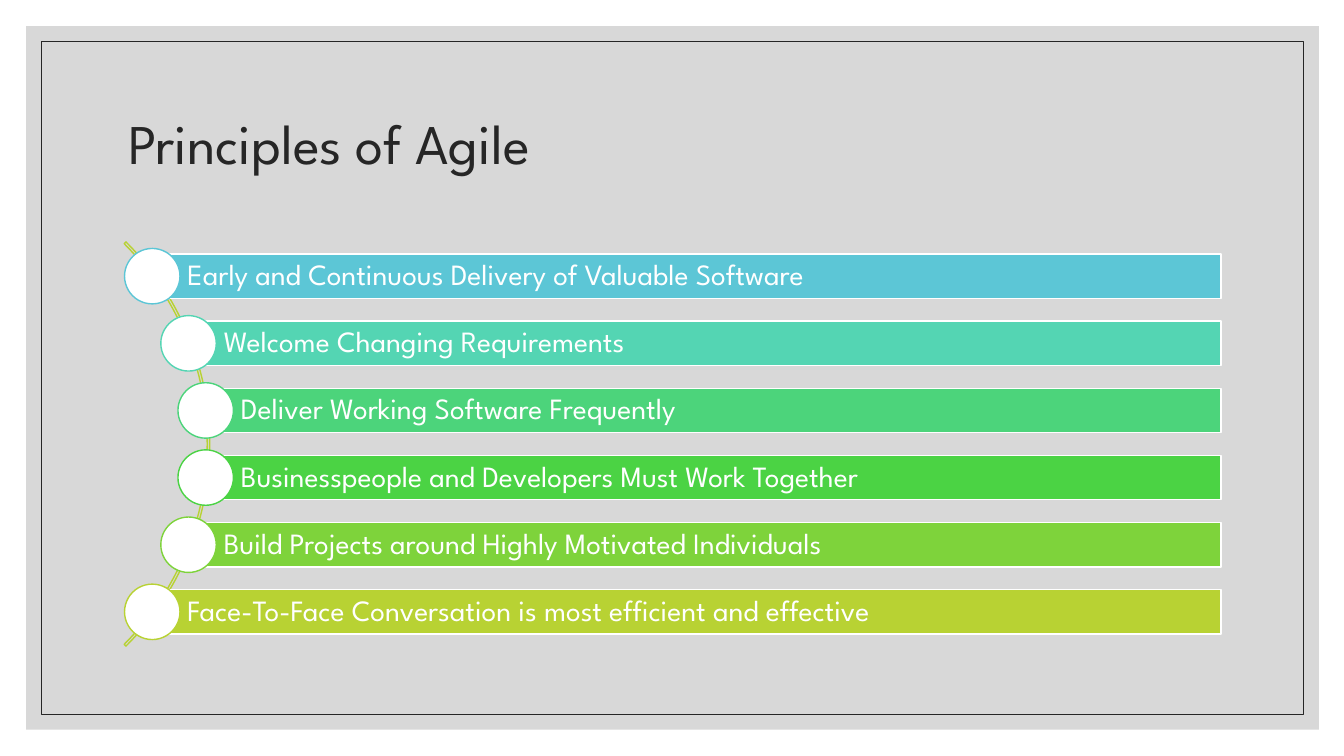
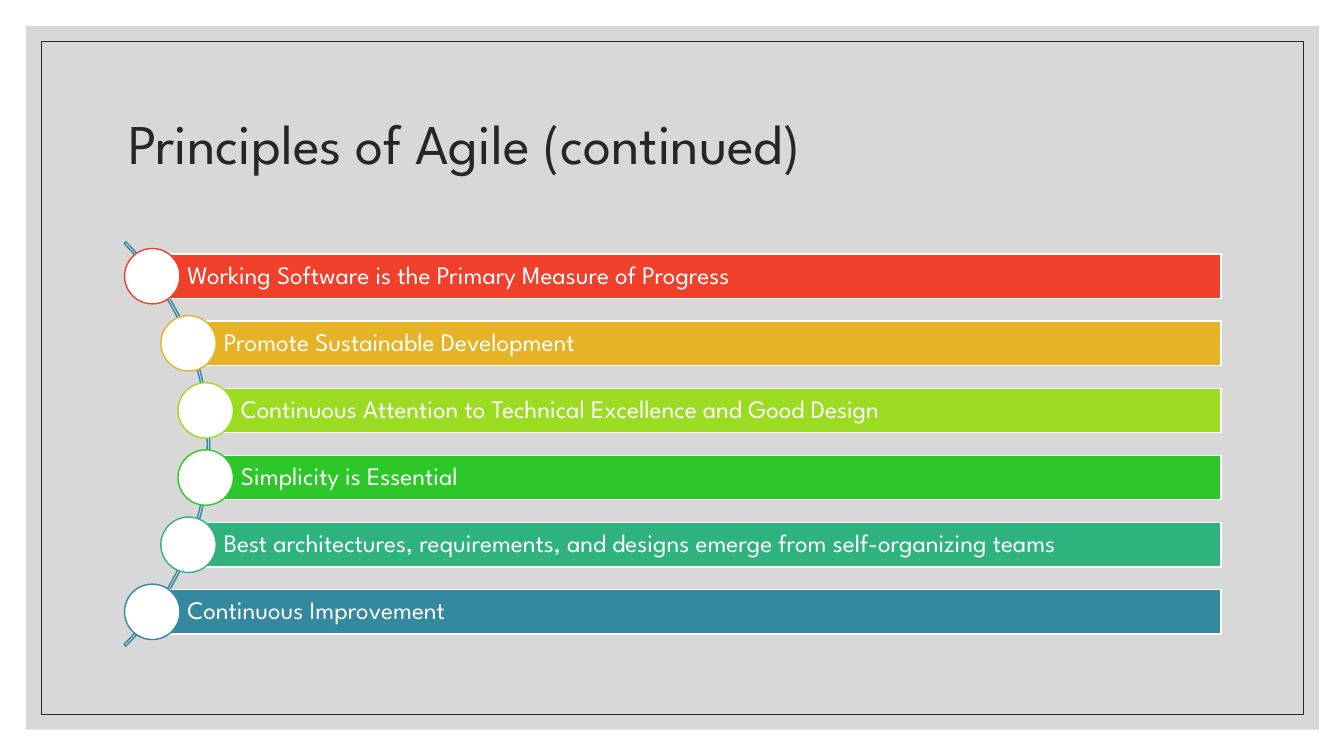
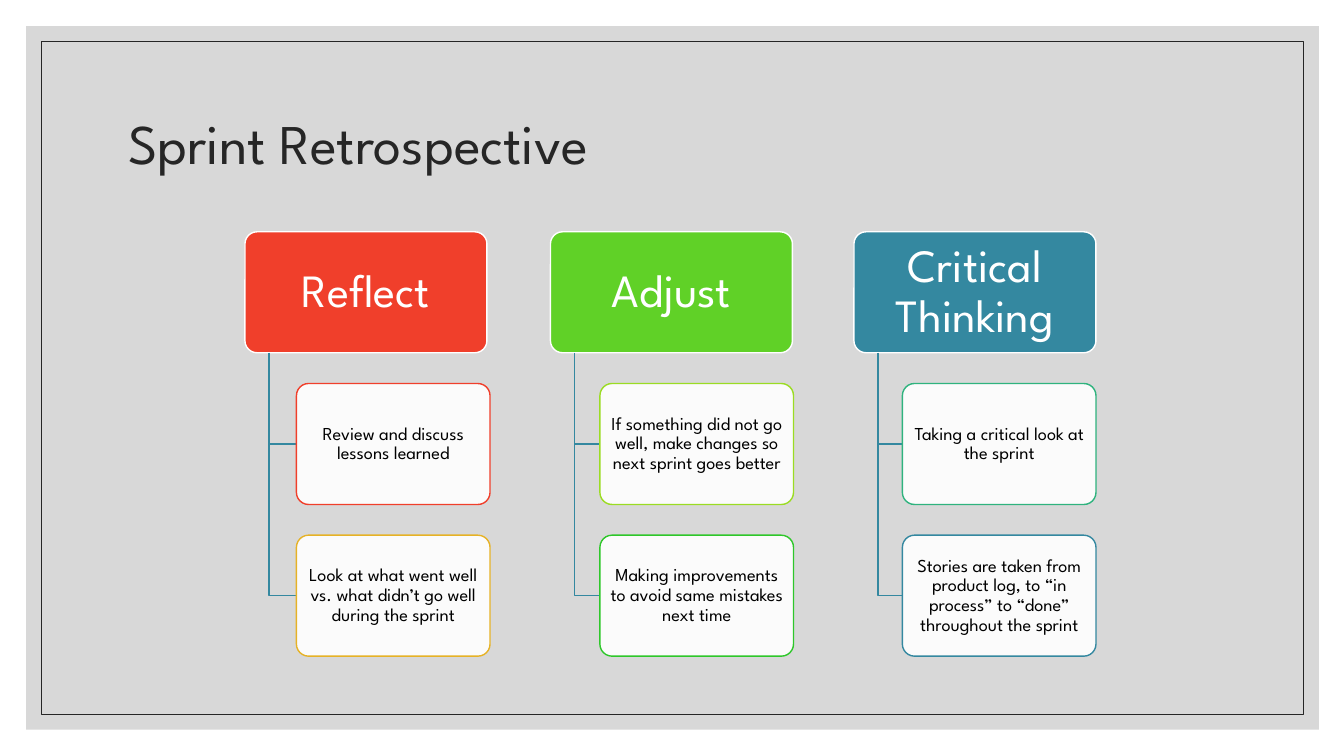
from dataclasses import dataclass

from lxml.etree import SubElement
from pptx import Presentation
from pptx.dml.color import RGBColor
from pptx.enum.shapes import MSO_SHAPE
from pptx.enum.text import MSO_ANCHOR, MSO_AUTO_SIZE, PP_ALIGN
from pptx.oxml.ns import qn
from pptx.util import Inches, Pt


@dataclass(frozen=True)
class Theme:
    font: str = "League Spartan"
    white: str = "FFFFFF"
    black: str = "000000"
    ink: str = "262626"
    panel: str = "BFBFBF"
    red: str = "F03F2B"
    amber: str = "E6B226"
    lime: str = "9BDC23"
    leaf: str = "60D127"
    green: str = "2EC72A"
    jade: str = "2FB37E"
    teal: str = "3488A0"
    cool: tuple = ("5CC6D6", "54D5B3", "4CD47B", "4BD344", "7ED33B", "B8D233")
    title_size: int = 40
    head_size: int = 33
    card_size: int = 13

    @property
    def warm(self):
        return (self.red, self.amber, self.lime, self.green, self.jade, self.teal)


def apply(obj, values):
    for name, value in values.items():
        setattr(obj, name, value)


class Deck:
    def __init__(self, theme):
        self.theme = theme
        self.prs = Presentation()
        apply(self.prs, {"slide_width": Inches(13.33), "slide_height": Inches(7.5)})
        self.layout = self.prs.slide_layouts[5]
        self.s = None

    def slide(self, title):
        first = self.s is None
        self.s = self.prs.slides.add_slide(self.layout)
        if first:
            self.frame()
        sp = self.s.shapes.title
        apply(sp, {"left": Inches(1.17), "top": Inches(0.7),
                   "width": Inches(11), "height": Inches(1.5)})
        self.text(sp, title, self.theme.title_size, self.theme.ink,
                  insets=(0.1, 0.05, 0.1, 0.05))

    def frame(self):
        panel = self.shape(MSO_SHAPE.RECTANGLE, (0.26, 0.26, 12.82, 6.98),
                           fill=self.theme.panel, alpha=60)
        border = self.shape(MSO_SHAPE.RECTANGLE, (0.41, 0.41, 12.52, 6.68),
                            line=self.theme.ink, weight=0.5)
        for i, sp in enumerate((panel, border)):
            sp.element.nvSpPr.cNvPr.id = 20 + i
            self.layout.shapes.element.insert(2 + i, sp.element)

    def paint(self, sp, fill=None, line=None, weight=1, alpha=100):
        sp.shadow.inherit = False
        if fill:
            sp.fill.solid()
            sp.fill.fore_color.rgb = RGBColor.from_string(fill)
            if alpha < 100:
                color = sp.element.spPr.find(qn("a:solidFill"))[0]
                SubElement(color, qn("a:alpha"), val=str(alpha * 1000))
        else:
            sp.fill.background()
        if line:
            sp.line.color.rgb = RGBColor.from_string(line)
            sp.line.width = Pt(weight)
        else:
            sp.line.fill.background()
        return sp

    def shape(self, kind, box, adjust=(), **style):
        sp = self.s.shapes.add_shape(kind, *map(Inches, box))
        for i, value in enumerate(adjust):
            sp.adjustments[i] = value
        return self.paint(sp, **style)

    def text(self, sp, words, size, color, insets, align=PP_ALIGN.LEFT):
        tf = sp.text_frame
        sides = ("margin_left", "margin_top", "margin_right", "margin_bottom")
        apply(tf, dict(zip(sides, map(Inches, insets))))
        apply(tf, {"word_wrap": True, "auto_size": MSO_AUTO_SIZE.NONE,
                   "vertical_anchor": MSO_ANCHOR.MIDDLE})
        p = tf.paragraphs[0]
        apply(p, {"alignment": align, "line_spacing": 0.9})
        r = p.add_run()
        r.text = words
        apply(r.font, {"name": self.theme.font, "size": Pt(size)})
        r.font.color.rgb = RGBColor.from_string(color)

    def curved_list(self, items, colors, arc_color, size, pad):
        white = self.theme.white
        self.shape(MSO_SHAPE.BLOCK_ARC, (-3.59, 1.57, 5.67, 5.67),
                   adjust=(189, 27, 0.0044), line=arc_color)
        lefts = (1.51, 1.87, 2.04)
        right, height, dot = 12.11, 0.44, 0.55
        pitch = (5.85 - 2.52) / (len(items) - 1)
        for i, (words, color, left) in enumerate(zip(items, colors, lefts + lefts[::-1])):
            top = 2.52 + i * pitch
            bar = self.shape(MSO_SHAPE.RECTANGLE, (left, top, right - left, height),
                             fill=color, line=white)
            self.text(bar, words, size, white, insets=(0.35, pad, pad, pad))
            self.shape(MSO_SHAPE.OVAL,
                       (left - dot / 2, top + (height - dot) / 2, dot, dot),
                       fill=white, line=color)

    def card(self, box, words, size, color, insets, **style):
        sp = self.shape(MSO_SHAPE.ROUNDED_RECTANGLE, box, adjust=(0.1,), **style)
        self.text(sp, words, size, color, insets, PP_ALIGN.CENTER)

    def elbow(self, x, y, end_x, end_y):
        fb = self.s.shapes.build_freeform(Inches(x), Inches(y))
        fb.add_line_segments([(Inches(x), Inches(end_y)), (Inches(end_x), Inches(end_y))],
                             close=False)
        self.paint(fb.convert_to_shape(), line=self.theme.teal)

    def branch(self, head_left, card_left, head, color, cards):
        t = self.theme
        top, height, pitch = 2.3, 1.2, 1.505
        self.card((head_left, top, 2.4, height), head, t.head_size, t.white,
                  (0.07, 0.05, 0.07, 0.05), fill=color, line=t.white)
        for i, (words, outline) in enumerate(cards, 1):
            card_top = top + i * pitch
            self.elbow(head_left + 0.24, top + height, card_left, card_top + height / 2)
            self.card((card_left, card_top, 1.92, height), words, t.card_size, t.black,
                      (0.03, 0.02, 0.03, 0.02), fill=t.white, alpha=90, line=outline)


def main():
    t = Theme()
    deck = Deck(t)

    deck.slide("Principles of Agile")
    deck.curved_list((
        "Early and Continuous Delivery of Valuable Software",
        "Welcome Changing Requirements",
        "Deliver Working Software Frequently",
        "Businesspeople and Developers Must Work Together",
        "Build Projects around Highly Motivated Individuals",
        "Face-To-Face Conversation is most efficient and effective",
    ), t.cool, t.cool[-1], size=21, pad=0.06)

    deck.slide("Principles of Agile (continued)")
    deck.curved_list((
        "Working Software is the Primary Measure of Progress",
        "Promote Sustainable Development",
        "Continuous Attention to Technical Excellence and Good Design",
        "Simplicity is Essential",
        "Best architectures, requirements, and designs emerge from self-organizing teams",
        "Continuous Improvement",
    ), t.warm, t.teal, size=18, pad=0.05)

    deck.slide("Sprint Retrospective")
    branches = (
        (2.43, 2.94, "Reflect", t.red, (
            ("Review and discuss lessons learned", t.red),
            ("Look at what went well vs. what didn’t go well during the sprint", t.amber))),
        (5.46, 5.95, "Adjust", t.leaf, (
            ("If something did not go well, make changes so next sprint goes better", t.lime),
            ("Making improvements to avoid same mistakes next time", t.green))),
        (8.47, 8.95, "Critical Thinking", t.teal, (
            ("Taking a critical look at the sprint", t.jade),
            ("Stories are taken from product log, to “in process” to “done” "
             "throughout the sprint", t.teal))),
    )
    for branch in branches:
        deck.branch(*branch)

    deck.prs.save("out.pptx")


if __name__ == "__main__":
    main()
